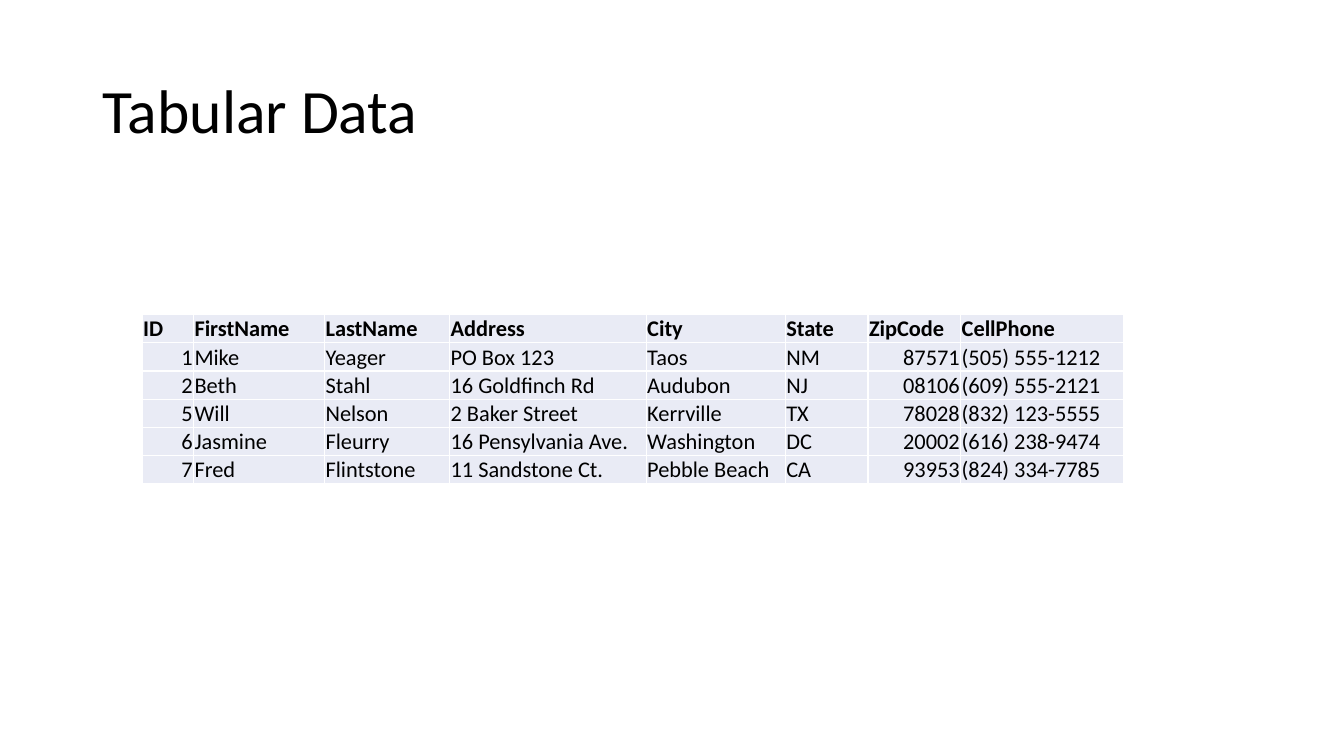
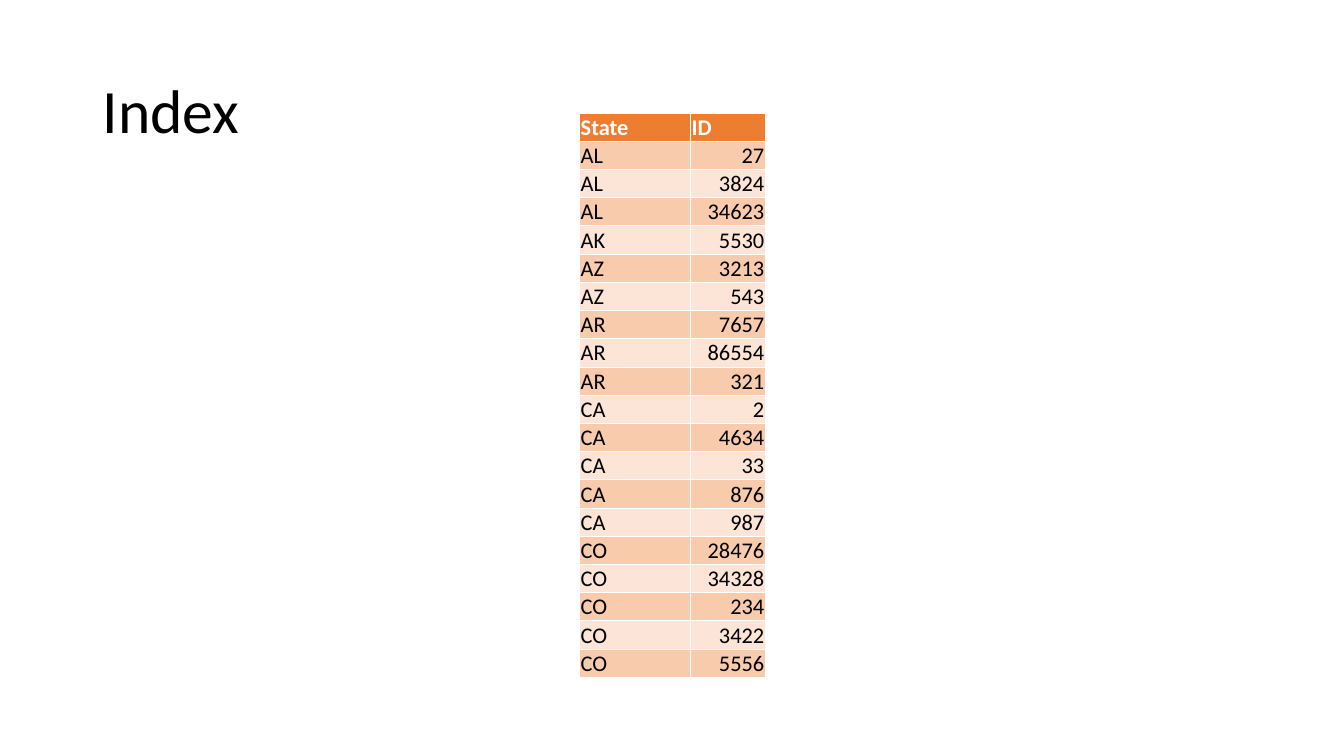
"""Build two slides: a table of people and an index of states."""
from lxml import etree
from pptx import Presentation
from pptx.dml.color import RGBColor
from pptx.enum.text import MSO_ANCHOR, PP_ALIGN
from pptx.oxml.ns import qn
from pptx.util import Pt

PX = 9144
MID, LOW = MSO_ANCHOR.MIDDLE, MSO_ANCHOR.BOTTOM
LEFT, RIGHT = PP_ALIGN.LEFT, PP_ALIGN.RIGHT
FONT = "Calibri"
ROW = 28
INK = {
    "black": "000000", "white": "FFFFFF", "pale": "E9EBF5",
    "orange": "ED7D31", "peach": "F8CBAD", "cream": "FCE4D6",
}
CELL = {
    "margin_left": PX, "margin_right": PX, "margin_top": PX,
    "margin_bottom": 0, "vertical_anchor": LOW,
}
PEOPLE = [
    ("ID", "FirstName", "LastName", "Address", "City", "State", "ZipCode", "CellPhone"),
    ("1", "Mike", "Yeager", "PO Box 123", "Taos", "NM", "87571", "(505) 555-1212"),
    ("2", "Beth", "Stahl", "16 Goldfinch Rd", "Audubon", "NJ", "08106", "(609) 555-2121"),
    ("5", "Will", "Nelson", "2 Baker Street", "Kerrville", "TX", "78028", "(832) 123-5555"),
    ("6", "Jasmine", "Fleurry", "16 Pensylvania Ave.", "Washington", "DC", "20002", "(616) 238-9474"),
    ("7", "Fred", "Flintstone", "11 Sandstone Ct.", "Pebble Beach", "CA", "93953", "(824) 334-7785"),
]
STATES = {
    "AL": (27, 3824, 34623),
    "AK": (5530,),
    "AZ": (3213, 543),
    "AR": (7657, 86554, 321),
    "CA": (2, 4634, 33, 876, 987),
    "CO": (28476, 34328, 234, 3422, 5556),
}
INDEX = [("State", "ID")] + [(st, str(num)) for st, nums in STATES.items() for num in nums]
SLIDES = [
    {"title": "Tabular Data", "rows": PEOPLE, "at": (141, 312),
     "cols": (51, 130, 124, 195, 138, 82, 92, 162),
     "head": ("pale", "black"), "bands": ("pale", "pale"), "line": 1},
    {"title": "Index", "rows": INDEX, "at": (575, 112), "cols": (110, 74),
     "head": ("orange", "white"), "bands": ("peach", "cream"), "line": 0.5},
]


def write(frame, text, size, ink, bold=False, align=LEFT):
    para = frame.paragraphs[0]
    para.alignment = align
    run = para.add_run()
    run.text = text
    for key, val in {"name": FONT, "size": Pt(size), "bold": bold}.items():
        setattr(run.font, key, val)
    run.font.color.rgb = RGBColor.from_string(INK[ink])
    return para


def border(cell, sides, width):
    props = cell._tc.get_or_add_tcPr()
    for side in sides:
        line = etree.SubElement(props, qn(f"a:ln{side}"), w=str(Pt(width)))
        fill = etree.SubElement(line, qn("a:solidFill"))
        etree.SubElement(fill, qn("a:srgbClr"), val=INK["white"])


deck = Presentation()
deck.slide_width, deck.slide_height = 1333 * PX, 750 * PX

for page in SLIDES:
    slide = deck.slides.add_slide(deck.slide_layouts[6])
    box = slide.shapes.add_textbox(*(n * PX for n in (92, 40, 1150, 145)))
    box.text_frame.word_wrap = True
    box.text_frame.vertical_anchor = MID
    write(box.text_frame, page["title"], 44, "black").line_spacing = 0.9

    rows, cols = page["rows"], page["cols"]
    size = (sum(cols), ROW * len(rows))
    table = slide.shapes.add_table(
        len(rows), len(cols), *(n * PX for n in page["at"] + size)).table
    table.first_row = table.horz_banding = False
    for col, width in zip(table.columns, cols):
        col.width = width * PX
    for r, row in enumerate(rows):
        table.rows[r].height = ROW * PX
        fill, ink = page["head"] if r == 0 else (page["bands"][(r - 1) % 2], "black")
        for c, text in enumerate(row):
            cell = table.cell(r, c)
            for key, val in CELL.items():
                setattr(cell, key, val)
            border(cell, "LRTB", page["line"])
            cell.fill.solid()
            cell.fill.fore_color.rgb = RGBColor.from_string(INK[fill])
            align = RIGHT if text.isdigit() else LEFT
            write(cell.text_frame, text, 16, ink, r == 0, align)

deck.save("out.pptx")
